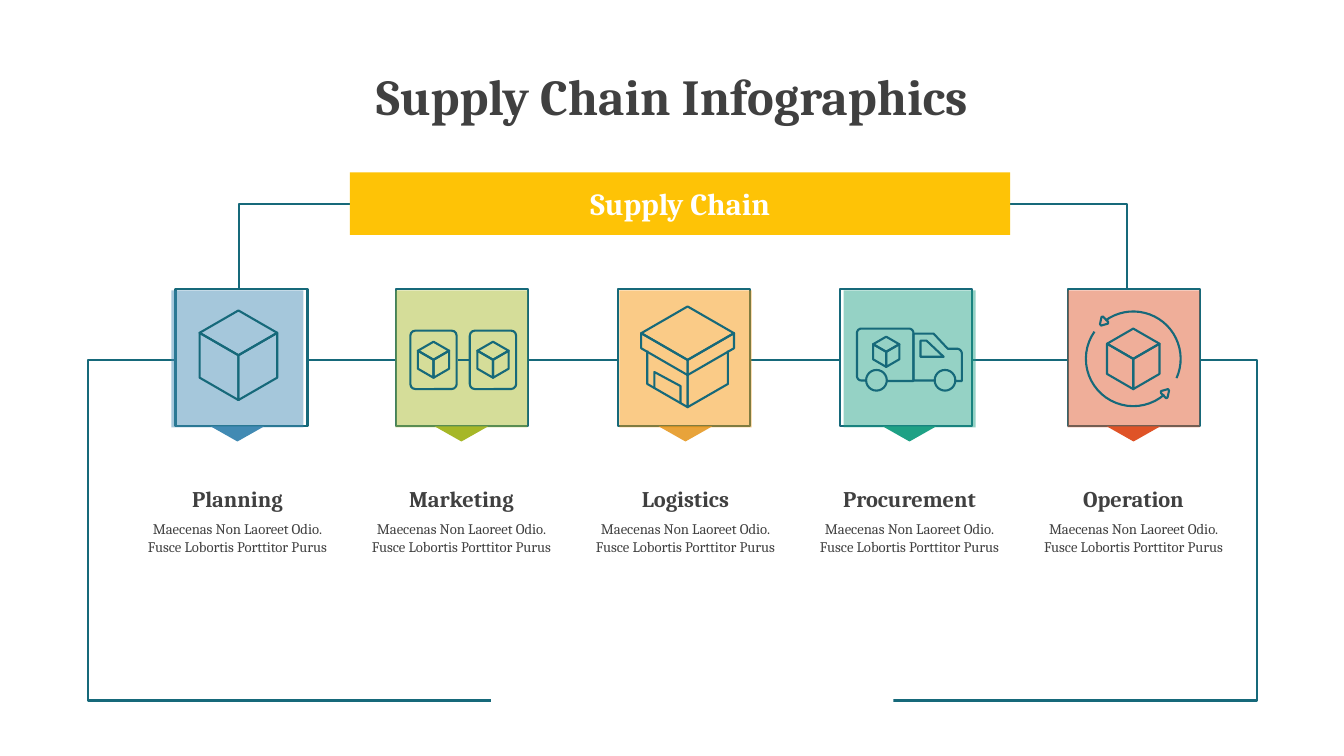
import math

from lxml import etree
from pptx import Presentation
from pptx import util as u
from pptx.dml import color
from pptx.enum import shapes, text
from pptx.oxml import ns

COLORS = {
    "ink": "404040", "line": "16697A", "white": "FFFFFF", "banner": "FEC306",
    "blue": "418AB3", "green": "A6B727", "orange": "F69200", "amber": "E8A33A",
    "teal": "1EA185", "red": "DF5327",
}
STYLES = {
    "title": {"size": 36, "bold": True, "color": "ink"},
    "banner": {"size": 22, "bold": True, "color": "white"},
    "heading": {"size": 16, "bold": True, "color": "ink"},
    "body": {"size": 10.5, "bold": False, "color": "ink"},
}
BLURB = "Maecenas Non Laoreet Odio. Fusce Lobortis Porttitor Purus"
COLS, ROWS = 133.3, 75  # grid cells of a tenth of an inch
KIND = shapes.MSO_SHAPE


def cells(n):
    return u.Emu(round(n * u.Inches(0.1)))


def rgb(name):
    return color.RGBColor.from_string(COLORS[name])


def arc(cx, cy, radius, start, end, steps=24):
    """Points of a circular arc; angles in degrees, clockwise from the right."""
    angles = [math.radians(start + (end - start) * i / steps) for i in range(steps + 1)]
    return [(cx + radius * math.cos(a), cy + radius * math.sin(a)) for a in angles]


class Board:
    """Draws on one slide, with every length counted in grid cells."""

    def __init__(self, deck):
        self.slide = deck.slides.add_slide(deck.slide_layouts[5])
        self.shapes = self.slide.shapes
        self.font = "Cambria"
        self.weight = u.Pt(1.5)

    def paint(self, shape, fill=None, line=None, alpha=None):
        shape.shadow.inherit = False
        if fill:
            shape.fill.solid()
            shape.fill.fore_color.rgb = rgb(fill)
        else:
            shape.fill.background()
        if alpha:
            tone = shape._element.spPr.find(".//" + ns.qn("a:srgbClr"))
            etree.SubElement(tone, ns.qn("a:alpha")).set("val", str(alpha * 1000))
        if line:
            shape.line.color.rgb = rgb(line)
            shape.line.width = self.weight
        else:
            shape.line.fill.background()
        return shape

    def block(self, box, kind=KIND.RECTANGLE, **look):
        return self.paint(self.shapes.add_shape(kind, *map(cells, box)), **look)

    def outline(self, points, close=True, fill=None, line="line"):
        start, *rest = [(cells(x), cells(y)) for x, y in points]
        builder = self.shapes.build_freeform(*start, scale=1.0)
        builder.add_line_segments(rest, close=close)
        self.paint(builder.convert_to_shape(), fill, line)

    def connect(self, start, end, bent=False):
        kind = shapes.MSO_CONNECTOR.ELBOW if bent else shapes.MSO_CONNECTOR.STRAIGHT
        link = self.shapes.add_connector(kind, *map(cells, start + end))
        link.line.color.rgb = rgb("line")
        link.line.width = self.weight
        properties = link._element.spPr
        if bent:  # a single corner
            properties.find(ns.qn("a:prstGeom")).set("prst", "bentConnector2")
        etree.SubElement(properties, ns.qn("a:effectLst"))

    def typeset(self, frame, lines, anchor=text.MSO_ANCHOR.MIDDLE, inset=None):
        layout = {"word_wrap": True, "vertical_anchor": anchor}
        if inset is not None:
            sides = ("left", "top", "right", "bottom")
            layout.update({f"margin_{side}": cells(inset) for side in sides})
        for name, value in layout.items():
            setattr(frame, name, value)
        for i, (words, style) in enumerate(lines):
            para = frame.paragraphs[0] if i == 0 else frame.add_paragraph()
            para.alignment = text.PP_ALIGN.CENTER
            if i:
                para.space_before = u.Pt(6)
            run = para.add_run()
            run.text = words
            look = STYLES[style]
            values = {"name": self.font, "size": u.Pt(look["size"]), "bold": look["bold"]}
            for name, value in values.items():
                setattr(run.font, name, value)
            run.font.color.rgb = rgb(look["color"])

    def title(self, box, words):
        holder = self.shapes.title
        for name, value in zip(("left", "top", "width", "height"), box):
            setattr(holder, name, cells(value))
        self.typeset(holder.text_frame, [(words, "title")], text.MSO_ANCHOR.TOP)

    def label(self, box, lines, inset=0):
        frame = self.shapes.add_textbox(*map(cells, box)).text_frame
        self.typeset(frame, lines, inset=inset)
        return frame

    def cube(self, cx, top, half, depth=None):
        """Isometric box: a lid and two side faces."""
        rise = half / math.sqrt(3)
        depth = depth or 2 * rise
        shoulder, middle = top + rise, top + 2 * rise
        for side in (cx + half, cx - half):
            self.outline([(side, shoulder), (side, shoulder + depth),
                          (cx, middle + depth), (cx, middle)])
        self.outline([(cx + half, shoulder), (cx, middle),
                      (cx - half, shoulder), (cx, top)])


# Icons
def parcel(board):
    board.cube(23.65, 30.8, 3.85)


def crates(board):
    for left in (40.7, 46.6):
        board.cube(left + 2.3, 33.9, 1.55)
        crate = board.block((left, 32.8, 4.6, 5.8), KIND.ROUNDED_RECTANGLE, line="line")
        crate.adjustments[0] = 0.11
    board.connect((45.4, 35.7), (46.6, 35.7))


def warehouse(board):
    for wall in (72.2, 64.2):
        board.outline([(wall, 34.8), (wall, 38.1), (68.2, 40.4), (68.2, 37.2)], close=False)
    board.outline([(67.5, 40), (67.5, 38.3), (64.9, 36.9), (64.9, 38.5)], close=False)
    board.cube(68.2, 30.4, 4.6, depth=1.5)


def truck(board):
    board.cube(87.9, 33.4, 1.3)
    for wheel in (85.9, 92.7):
        board.block((wheel, 36.7, 2.05, 2.05), KIND.OVAL, line="line")
    cargo = [(85.9, 37.75), *arc(85.45, 37.3, 0.45, 90, 180), *arc(85.45, 33.05, 0.45, 180, 270),
             *arc(90.15, 33.05, 0.45, 270, 360), (90.6, 37.8), (87.9, 37.8)]
    cab = [(92.7, 37.75), (90.6, 37.75), (90.6, 33.1), (92.6, 33.1), (94, 34.6),
           *arc(94.9, 35.1, 0.5, 270, 360), (95.4, 37.8), (94.7, 37.8)]
    for body in (cargo, cab):
        board.outline(body, close=False)
    board.outline([(91.3, 33.8), (91.3, 35.4), (93.6, 35.4), (91.9, 33.8)])


def cycle(board):
    board.cube(112.4, 32.6, 2.6)
    for start, end in ((49, 215), (234, 384)):
        board.outline(arc(112.4, 35.6, 4.7, start, end), close=False)
    head = [(-0.1, -0.45), (0.4, 0.05), (0.4, 0.25), (-0.3, 0.45), (-0.4, 0.3), (-0.25, -0.4)]
    for cx, cy, turn in ((109.5, 31.85, 1), (115.55, 39.05, -1)):
        board.outline([(cx + turn * x, cy + turn * y) for x, y in head])


# Heading, frame column, tile colour, pointer colour, icon
STAGES = [
    ("Planning", 17.4, "blue", "blue", parcel),
    ("Marketing", 39.3, "green", "green", crates),
    ("Logistics", 61.3, "orange", "amber", warehouse),
    ("Procurement", 83.3, "teal", "teal", truck),
    ("Operation", 105.9, "red", "red", cycle),
]
FIRST, PITCH, TILE_W, TILE_H = 17, 22.22, 13.1, 13.6


def main():
    deck = Presentation()
    deck.slide_width, deck.slide_height = cells(COLS), cells(ROWS)
    board = Board(deck)
    board.title((0, 6, COLS, 7.1), "Supply Chain Infographics")

    # Connecting lines and stage frames
    for start, end in (((34.7, 20.2), (23.7, 33.8)), ((100.2, 20.2), (111.8, 33.8))):
        board.connect(start, end, bent=True)
    board.block((8.7, 35.7, 116, 33.8), line="line")
    for stage in STAGES:
        board.block((stage[1], 28.7, TILE_W, TILE_H), fill="white", line="line")

    # Banner, and the gap in the bottom line
    board.block((34.7, 17.1, 65.5, 6.2), fill="banner")
    banner = board.label((43.2, 17.3, 48.5, 6.2), [("Supply Chain", "banner")], inset=1)
    banner.paragraphs[0].line_spacing = 0.9
    board.block((48.7, 65.7, 39.9, 7.4), fill="white")

    # Stages
    for i, (heading, _, tile, pointer, icon) in enumerate(STAGES):
        left = FIRST + i * PITCH
        cx = left + TILE_W / 2
        board.outline([(cx - 2.65, 42.3), (cx, 43.8), (cx + 2.65, 42.3)], fill=pointer, line=None)
        board.block((left, 28.8, TILE_W, TILE_H), fill=tile, alpha=47)
        icon(board)
        board.label((cx - 9, 47.2, 18, 8.8), [(heading, "heading"), (BLURB, "body")])

    deck.save("out.pptx")


if __name__ == "__main__":
    main()
